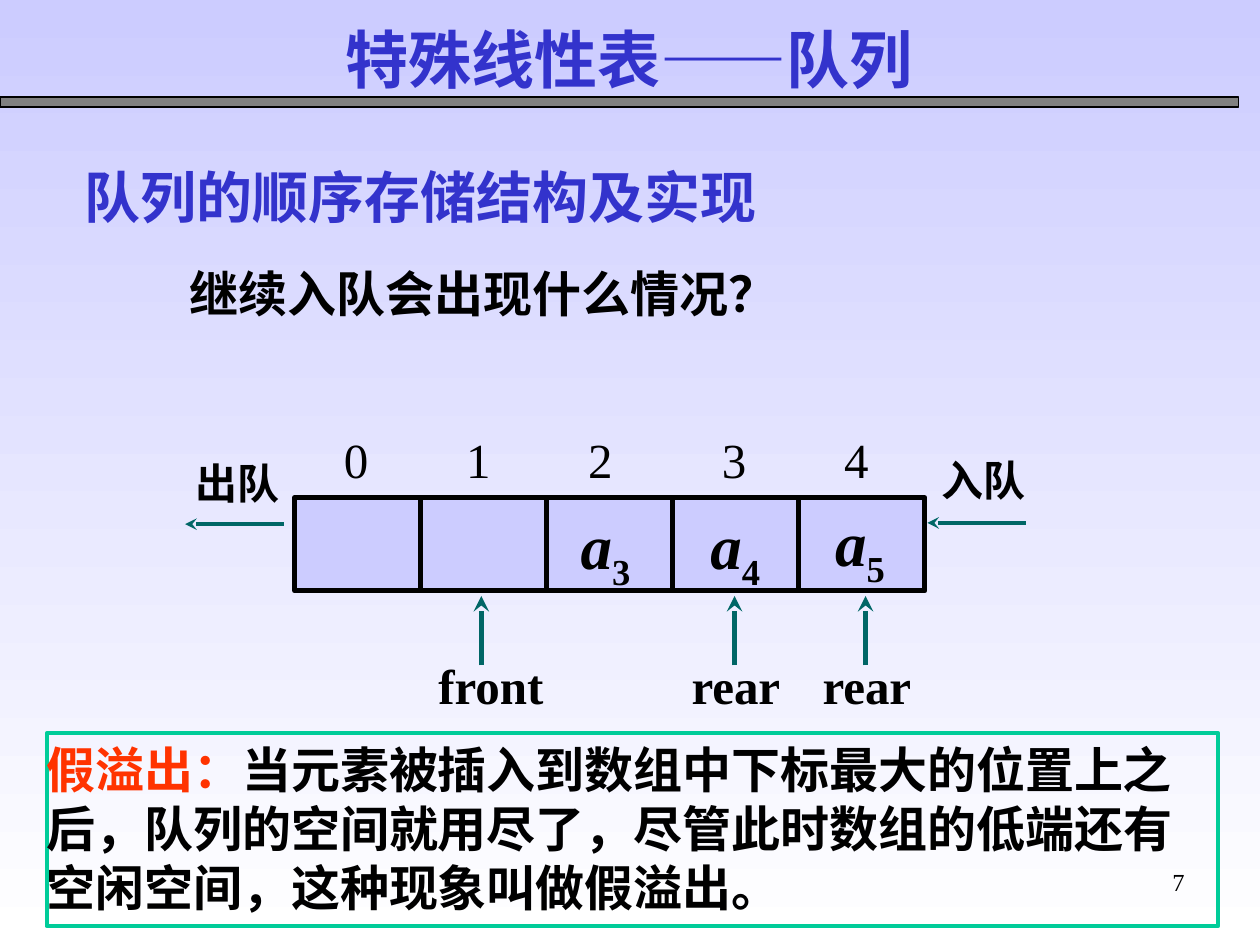
from dataclasses import dataclass

from lxml import etree
from pptx import Presentation
from pptx.dml.color import RGBColor
from pptx.enum.shapes import MSO_CONNECTOR, MSO_SHAPE
from pptx.enum.text import MSO_ANCHOR, PP_ALIGN
from pptx.oxml.ns import qn
from pptx.util import Inches, Pt

BLACK = RGBColor(0x00, 0x00, 0x00)
GRAY = RGBColor(0x80, 0x80, 0x80)
BLUE = RGBColor(0x33, 0x33, 0xCC)
LAVENDER = RGBColor(0xCC, 0xCC, 0xFF)
WHITE = RGBColor(0xFF, 0xFF, 0xFF)
TEAL = RGBColor(0x00, 0x66, 0x66)
GREEN = RGBColor(0x00, 0xCC, 0x99)
RED = RGBColor(0xFF, 0x33, 0x00)
LEFT, RIGHT = PP_ALIGN.LEFT, PP_ALIGN.RIGHT
TOP = MSO_ANCHOR.TOP
RECTANGLE = MSO_SHAPE.RECTANGLE
STRAIGHT = MSO_CONNECTOR.STRAIGHT
FONT = "Times New Roman"

# Queue grid: one column per array cell
QUEUE_LEFT, QUEUE_TOP = 2.34, 3.95
CELL_WIDTH, CELL_HEIGHT = 1.0, 0.74
CELL_COUNT = 5
INDEX_TABS = (0.97, 1.94, 3.0, 3.97)


@dataclass(frozen=True)
class Area:
    left: float
    top: float
    width: float
    height: float

    def emu(self) -> list[int]:
        return [Inches(n) for n in (self.left, self.top, self.width, self.height)]


@dataclass(frozen=True)
class Style:
    size: float
    color: RGBColor = BLACK
    bold: bool = True
    italic: bool = False


@dataclass(frozen=True)
class Element:
    index: str
    column: float
    row: float


@dataclass(frozen=True)
class Pointer:
    name: str
    column: float
    width: float


@dataclass(frozen=True)
class Flow:
    label: str
    label_area: Area
    start: float
    end: float
    height: float


def column_x(column: float) -> float:
    return QUEUE_LEFT + column * CELL_WIDTH


def row_y(row: float) -> float:
    return QUEUE_TOP + row * CELL_HEIGHT


def format_span(span, style: Style) -> None:
    font = span.font
    font.name, font.size = FONT, Pt(style.size)
    font.bold, font.italic = style.bold, style.italic
    font.color.rgb = style.color


def write(shape, text: str, style: Style, align=LEFT):
    frame = shape.text_frame
    frame.word_wrap = True
    frame.vertical_anchor = TOP
    frame.text = text
    para = frame.paragraphs[0]
    para.alignment = align
    format_span(para.runs[0], style)
    return para


def add_text(slide, area: Area, text: str, style: Style, align=LEFT):
    return write(slide.shapes.add_textbox(*area.emu()), text, style, align)


def add_box(slide, area: Area, fill: RGBColor | None, line: RGBColor, weight: float):
    box = slide.shapes.add_shape(RECTANGLE, *area.emu())
    box.shadow.inherit = False
    if fill is None:
        box.fill.background()
    else:
        box.fill.solid()
        box.fill.fore_color.rgb = fill
    box.line.color.rgb = line
    box.line.width = Pt(weight)
    return box


def add_arrow(slide, start: tuple[float, float], end: tuple[float, float], weight: float) -> None:
    arrow = slide.shapes.add_connector(STRAIGHT, *(Inches(n) for n in start + end))
    arrow.line.color.rgb = TEAL
    arrow.line.width = Pt(weight)
    etree.SubElement(arrow.line._get_or_add_ln(), qn("a:tailEnd"), type="stealth")
    etree.SubElement(arrow._element.spPr, qn("a:effectLst"))


def add_text_shadow(span) -> None:
    properties = span._r.get_or_add_rPr()
    effects = etree.Element(qn("a:effectLst"))
    shadow = etree.SubElement(effects, qn("a:outerShdw"), dist="38100", dir="2700000")
    etree.SubElement(shadow, qn("a:srgbClr"), val=str(GRAY))
    properties.find(qn("a:solidFill")).addnext(effects)


def add_element(slide, element: Element) -> None:
    area = Area(column_x(element.column), row_y(element.row), 0.64, 0.7)
    para = add_text(slide, area, "a", Style(36, italic=True))
    subscript = para.add_run()
    subscript.text = element.index
    format_span(subscript, Style(36))
    subscript._r.get_or_add_rPr().set("baseline", "-25000")


def add_pointer(slide, pointer: Pointer) -> None:
    x = column_x(pointer.column)
    add_arrow(slide, (x, 5.28), (x, 4.73), 3)
    add_text(slide, Area(x - 0.44, 5.15, pointer.width, 0.57), pointer.name, Style(28))


def add_flow(slide, flow: Flow) -> None:
    add_arrow(slide, (flow.start, flow.height), (flow.end, flow.height), 2.25)
    add_text(slide, flow.label_area, flow.label, Style(24))


def add_queue(slide) -> None:
    for column in range(CELL_COUNT):
        area = Area(column_x(column), QUEUE_TOP, CELL_WIDTH, CELL_HEIGHT)
        add_box(slide, area, LAVENDER, BLACK, 3)

    # Cell indices on tab stops
    indices = "\t".join(str(n) for n in range(CELL_COUNT))
    para = add_text(slide, Area(2.63, 3.36, 4.68, 0.57), indices, Style(28, bold=False))
    tabs = etree.SubElement(para._p.get_or_add_pPr(), qn("a:tabLst"))
    for stop in INDEX_TABS:
        etree.SubElement(tabs, qn("a:tab"), pos=str(Inches(stop)), algn="l")

    for element in (Element("3", 2.17, 0.03), Element("4", 3.2, 0.03), Element("5", 4.19, 0)):
        add_element(slide, element)
    for pointer in (Pointer("front", 1.48, 1.05), Pointer("rear", 3.49, 1.13),
                    Pointer("rear", 4.53, 1.13)):
        add_pointer(slide, pointer)
    for flow in (Flow("入队", Area(7.37, 3.56, 1.08, 0.5), 8.14, 7.36, 4.15),
                 Flow("出队", Area(1.45, 3.58, 1, 0.5), 2.25, 1.47, 4.16)):
        add_flow(slide, flow)


def main() -> None:
    deck = Presentation()
    deck.slide_width, deck.slide_height = Inches(10), Inches(7.5)
    page = deck.slides.add_slide(deck.slide_layouts[5])

    # Background
    background = page.background.fill
    background.gradient()
    background.gradient_angle = 270
    for stop, color in zip(background.gradient_stops, (LAVENDER, WHITE)):
        stop.color.rgb = color

    # Title and rule
    add_box(page, Area(0, 0.77, 9.83, 0.08), GRAY, BLACK, 0.75)
    title = page.shapes.title
    title.left, title.top, title.width, title.height = Area(2.64, 0.11, 5.89, 0.7).emu()
    para = write(title, "特殊线性表——队列", Style(36, BLUE))
    add_text_shadow(para.runs[0])

    # Headings
    add_text(page, Area(0.57, 1.24, 6.75, 0.63), "队列的顺序存储结构及实现", Style(32, BLUE))
    add_text(page, Area(1.41, 2.04, 6.6, 0.57), "继续入队会出现什么情况？", Style(28))

    add_queue(page)

    # Definition
    box = add_box(page, Area(0.37, 5.82, 9.3, 1.53), None, GREEN, 2.25)
    box.text_frame.margin_left = box.text_frame.margin_right = 0
    para = write(box, "假溢出：", Style(28, RED))
    span = para.add_run()
    span.text = "当元素被插入到数组中下标最大的位置上之后，队列的空间就用尽了，尽管此时数组的低端还有空闲空间，这种现象叫做假溢出。"
    format_span(span, Style(28))

    # Page number
    add_text(page, Area(7.17, 6.83, 2.33, 0.52), "7", Style(14, bold=False), RIGHT)

    deck.save("out.pptx")


if __name__ == "__main__":
    main()
